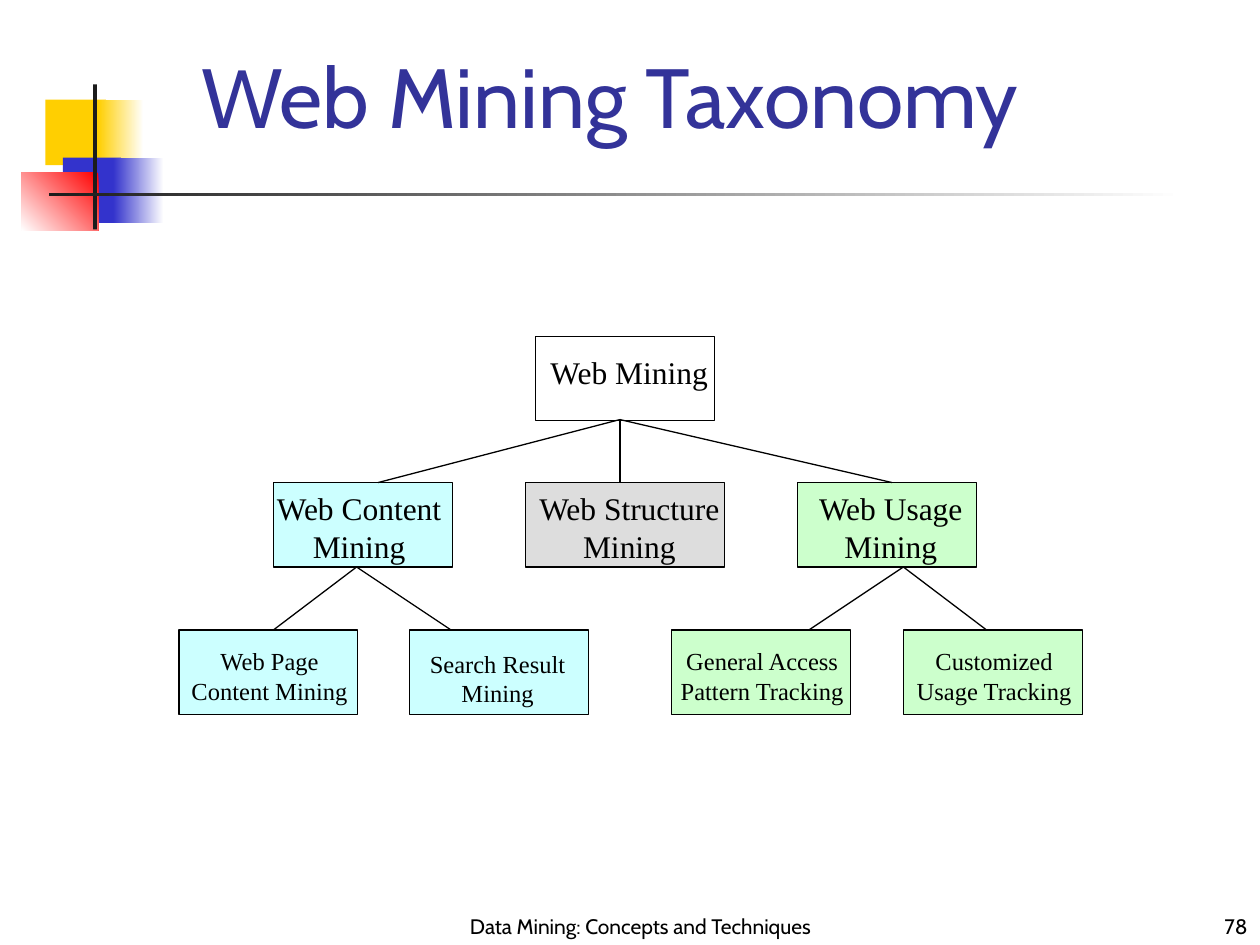
from dataclasses import dataclass

from lxml.etree import SubElement
from pptx import Presentation
from pptx.dml.color import RGBColor
from pptx.enum.shapes import MSO_CONNECTOR, MSO_SHAPE
from pptx.enum.text import MSO_ANCHOR, PP_ALIGN
from pptx.oxml.ns import qn
from pptx.shapes.autoshape import Shape
from pptx.slide import Slide
from pptx.util import Inches, Pt

BLACK = "000000"
WHITE = "FFFFFF"
CYAN = "CCFFFF"
GREEN = "CCFFCC"
GRAY = "DDDDDD"
NODE_WIDTH = 1.42
NODE_HEIGHT = 0.67
ROOT_TOP, BRANCH_TOP, LEAF_TOP = 2.67, 3.83, 5


@dataclass
class Bar:
    """Decorative rectangle; a second colour makes it a gradient."""
    left: float
    top: float
    width: float
    height: float
    color: str
    end_color: str | None = None
    angle: float = 180


@dataclass
class Node:
    """Taxonomy box with a label placed independently of its outline."""
    left: float
    top: float
    lines: list[str]
    label_left: float
    label_top: float
    label_width: float
    fill: str | None = None
    size: int = 14
    width: float = NODE_WIDTH
    align: PP_ALIGN = PP_ALIGN.CENTER


@dataclass
class Fan:
    """Lines running from one parent point to several child points."""
    x: float
    top: float
    bottom: float
    child_xs: list[float]


BARS = [
    Bar(0.36, 0.79, 0.48, 0.52, "FFCF01"),
    Bar(0.78, 0.79, 0.36, 0.52, WHITE, "FFCF01"),
    Bar(0.5, 1.25, 0.46, 0.52, "3333CC"),
    Bar(0.9, 1.25, 0.4, 0.52, WHITE, "3333CC"),
    Bar(0.17, 1.37, 0.61, 0.46, "FF0000", WHITE, 225),
    Bar(0.74, 0.67, 0.03, 1.15, "1C1C1C"),
    Bar(0.39, 1.53, 9, 0.03, WHITE, "1C1C1C"),
]

NODES = [
    Node(4.25, ROOT_TOP, ["Web Mining"], 4.27, 2.75, 1.47, size=18, align=PP_ALIGN.LEFT),
    Node(4.17, BRANCH_TOP, ["Web Structure", "Mining"], 4.17, BRANCH_TOP, 1.65, GRAY, 18, 1.58),
    Node(2.17, BRANCH_TOP, ["Web Content", "Mining"], 2.09, BRANCH_TOP, 1.52, CYAN, 18),
    Node(6.33, BRANCH_TOP, ["Web Usage", "Mining"], 6.39, BRANCH_TOP, 1.36, GREEN, 18),
    Node(1.42, LEAF_TOP, ["Web Page", "Content Mining"], 1.42, 5.08, 1.44, CYAN),
    Node(3.25, LEAF_TOP, ["Search Result", "Mining"], 3.31, 5.1, 1.28, CYAN),
    Node(5.33, LEAF_TOP, ["General Access", "Pattern Tracking"], 5.3, 5.08, 1.5, GREEN),
    Node(7.17, LEAF_TOP, ["Customized", "Usage Tracking"], 7.17, 5.08, 1.44, GREEN),
]

FANS = [
    Fan(4.92, 3.33, BRANCH_TOP, [3, 4.92, 7.08]),
    Fan(2.83, 4.5, LEAF_TOP, [2.17, 3.58]),
    Fan(7.17, 4.5, LEAF_TOP, [6.42, 7.83]),
]


def rgb(color: str) -> RGBColor:
    return RGBColor.from_string(color)


def add_rectangle(page: Slide, left: float, top: float, width: float, height: float) -> Shape:
    box = page.shapes.add_shape(
        MSO_SHAPE.RECTANGLE, Inches(left), Inches(top), Inches(width), Inches(height))
    box.shadow.inherit = False
    return box


def add_bar(page: Slide, bar: Bar) -> None:
    box = add_rectangle(page, bar.left, bar.top, bar.width, bar.height)
    box.line.fill.background()
    if bar.end_color is None:
        box.fill.solid()
        box.fill.fore_color.rgb = rgb(bar.color)
        return
    box.fill.gradient()
    box.fill.gradient_angle = bar.angle
    for stop, color in zip(box.fill.gradient_stops, (bar.color, bar.end_color)):
        stop.color.rgb = rgb(color)


def add_text(page: Slide, left: float, top: float, width: float, height: float,
             lines: list[str], size: int, font: str = "Cabin", color: str = BLACK,
             align: PP_ALIGN = PP_ALIGN.CENTER, anchor: MSO_ANCHOR = MSO_ANCHOR.TOP,
             wrap: bool = True) -> None:
    box = page.shapes.add_textbox(Inches(left), Inches(top), Inches(width), Inches(height))
    frame = box.text_frame
    frame.word_wrap = wrap
    frame.vertical_anchor = anchor
    frame.text = "\n".join(lines)
    for para in frame.paragraphs:
        para.alignment = align
        para.font.name = font
        para.font.size = Pt(size)
        para.font.color.rgb = rgb(color)


def add_node(page: Slide, node: Node) -> None:
    box = add_rectangle(page, node.left, node.top, node.width, NODE_HEIGHT)
    if node.fill is None:
        box.fill.background()
    else:
        box.fill.solid()
        box.fill.fore_color.rgb = rgb(node.fill)
    box.line.color.rgb = rgb(BLACK)
    box.line.width = Pt(0.75)
    label_height = 0.1 + len(node.lines) * node.size / 60
    add_text(page, node.label_left, node.label_top, node.label_width, label_height,
             node.lines, node.size, "Times New Roman", align=node.align, wrap=False)


def add_fan(page: Slide, fan: Fan) -> None:
    for child_x in fan.child_xs:
        line = page.shapes.add_connector(
            MSO_CONNECTOR.STRAIGHT, Inches(fan.x), Inches(fan.top),
            Inches(child_x), Inches(fan.bottom))
        line.line.color.rgb = rgb(BLACK)
        line.line.width = Pt(0.75)
        SubElement(line._element.spPr, qn("a:effectLst"))


def main() -> None:
    deck = Presentation()
    deck.slide_width, deck.slide_height = Inches(10), Inches(7.5)
    page = deck.slides.add_slide(deck.slide_layouts[6])
    for bar in BARS:
        add_bar(page, bar)
    for node in NODES:
        add_node(page, node)
    for fan in FANS:
        add_fan(page, fan)
    add_text(page, 1.5, 0.42, 7.77, 0.67, ["Web Mining Taxonomy"], 48, color="333399",
             align=PP_ALIGN.LEFT, anchor=MSO_ANCHOR.MIDDLE)
    add_text(page, 3.5, 6.92, 3.17, 0.58, ["Data Mining: Concepts and Techniques"], 12,
             anchor=MSO_ANCHOR.BOTTOM)
    add_text(page, 7.92, 7, 2.08, 0.5, ["78"], 12, align=PP_ALIGN.RIGHT,
             anchor=MSO_ANCHOR.BOTTOM)
    deck.save("out.pptx")


if __name__ == "__main__":
    main()
